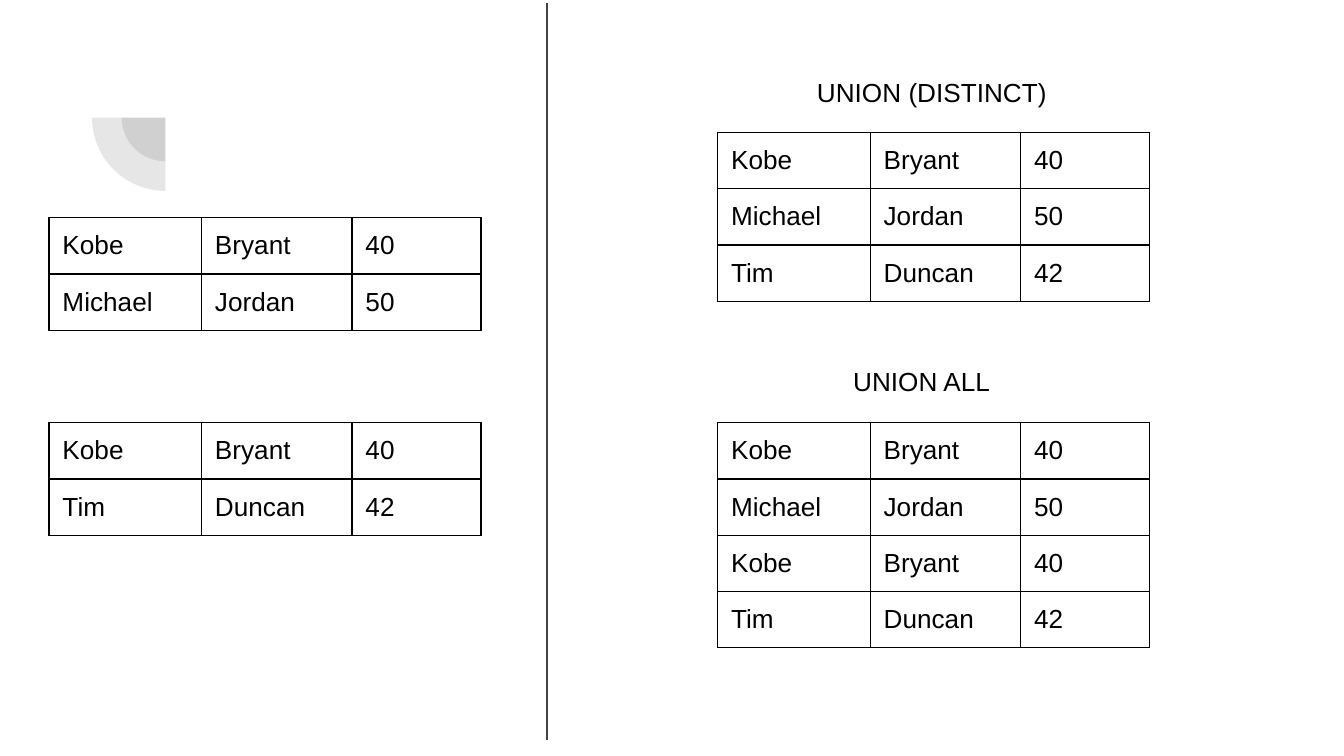
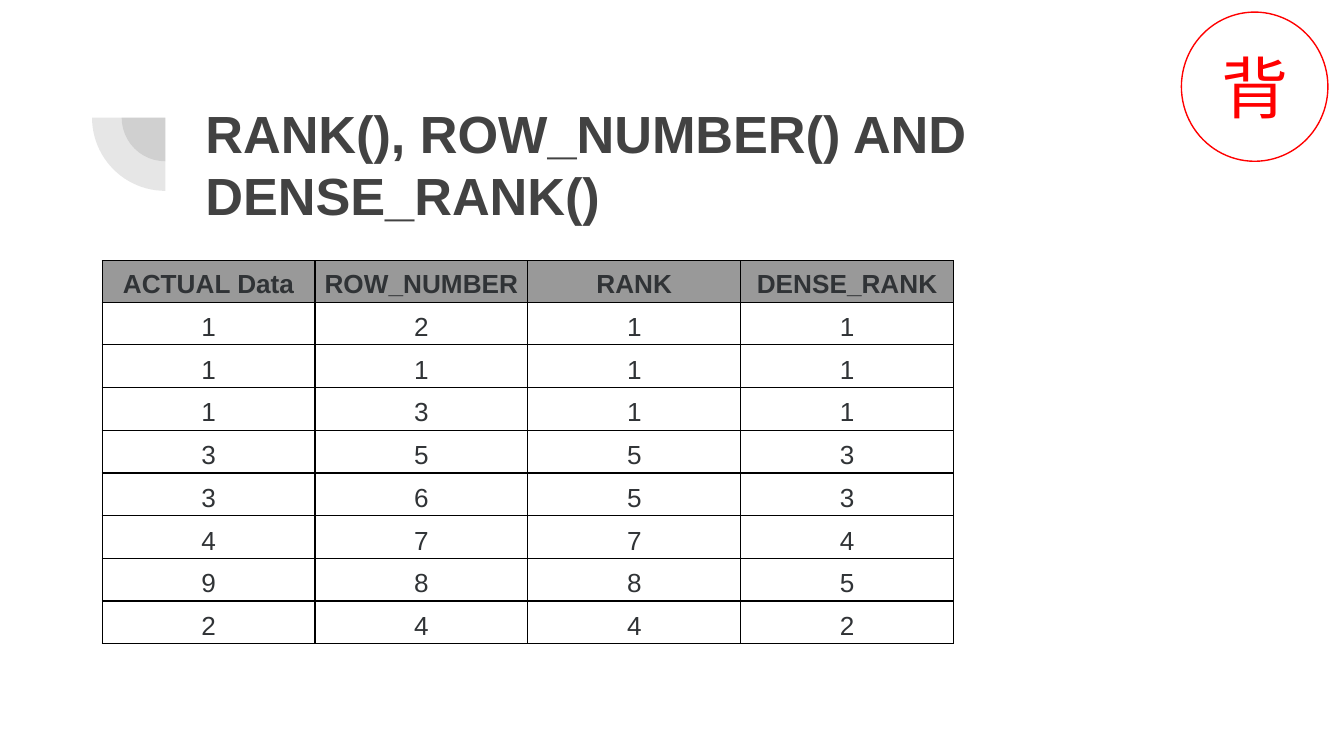
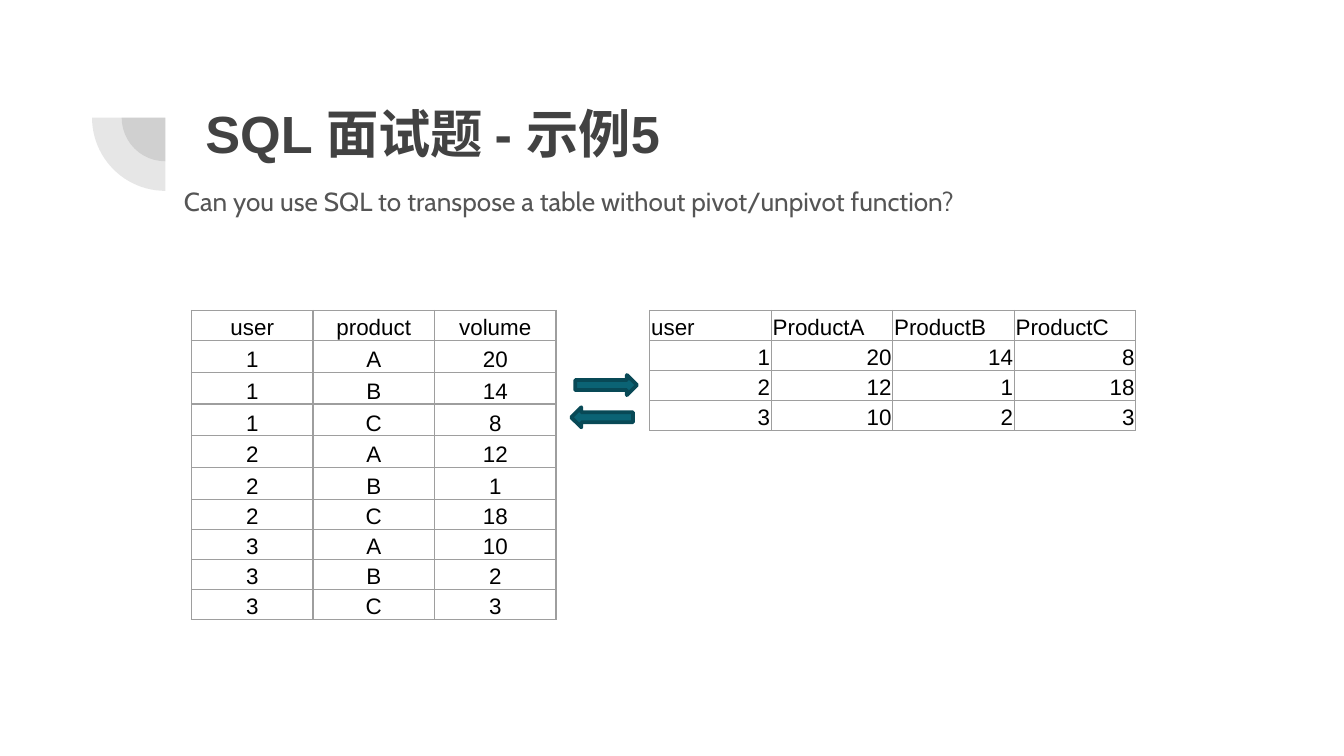
from dataclasses import dataclass
from typing import Optional

from lxml.etree import SubElement
from pptx import Presentation
from pptx.dml.color import RGBColor
from pptx.enum.shapes import MSO_CONNECTOR, MSO_SHAPE
from pptx.enum.text import MSO_ANCHOR, PP_ALIGN
from pptx.oxml.ns import qn
from pptx.util import Emu, Inches, Pt

W = Inches(10)
H = Emu(W * 9 // 16)
COL = W / 100
ROW = H / 56.25

COLORS = {
    "dark": "424242",
    "black": "000000",
    "cell": "303336",
    "header": "999999",
    "border": "9E9E9E",
    "red": "FF0000",
    "subtitle": "555555",
    "arrow": "0B6374",
    "arrow_line": "084956",
}


@dataclass(frozen=True)
class Box:
    left: float
    top: float
    width: float
    height: float

    def emu(self) -> tuple[Emu, Emu, Emu, Emu]:
        return cols(self.left), rows(self.top), cols(self.width), rows(self.height)


@dataclass(frozen=True)
class TableStyle:
    size: int
    color: str
    border: str
    margins: tuple[float, float, float, float]
    anchor: MSO_ANCHOR = MSO_ANCHOR.BOTTOM
    header_align: PP_ALIGN = PP_ALIGN.CENTER
    body_align: PP_ALIGN = PP_ALIGN.CENTER
    spacing: Optional[float] = None
    header_fill: Optional[str] = None


@dataclass(frozen=True)
class Grid:
    left: float
    top: float
    widths: list[float]
    heights: list[float]
    data: list[tuple]
    style: TableStyle


PEOPLE = TableStyle(14, "black", "black", (1, 1, 1, 1), MSO_ANCHOR.TOP,
                    PP_ALIGN.LEFT, PP_ALIGN.LEFT)
RANKING = TableStyle(14, "cell", "black", (0.3, 0.2, 0.3, 0.2),
                     spacing=1.15, header_fill="header")
LONG = TableStyle(12, "black", "border", (0.1, 0.1, 0.1, 0))
WIDE = TableStyle(12, "black", "border", (0.1, 0.1, 0.1, 0),
                  header_align=PP_ALIGN.LEFT, body_align=PP_ALIGN.RIGHT)

KOBE = ("Kobe", "Bryant", 40)
MICHAEL = ("Michael", "Jordan", 50)
TIM = ("Tim", "Duncan", 42)

RANK_ROWS = [
    ("ACTUAL Data", "ROW_NUMBER", "RANK", "DENSE_RANK"),
    (1, 2, 1, 1),
    (1, 1, 1, 1),
    (1, 3, 1, 1),
    (3, 5, 5, 3),
    (3, 6, 5, 3),
    (4, 7, 7, 4),
    (9, 8, 8, 5),
    (2, 4, 4, 2),
]

VOLUMES = {1: (20, 14, 8), 2: (12, 1, 18), 3: (10, 2, 3)}


def cols(n: float) -> Emu:
    return Emu(round(n * COL))


def rows(n: float) -> Emu:
    return Emu(round(n * ROW))


def rgb(name: str) -> RGBColor:
    return RGBColor.from_string(COLORS[name])


def put_text(tf, text, *, size=14, color="black", font="Arial", bold=False,
             align=PP_ALIGN.LEFT, spacing=None) -> None:
    tf.word_wrap = True
    p = tf.paragraphs[0]
    p.alignment = align
    if spacing:
        p.line_spacing = spacing
    r = p.add_run()
    r.text = str(text)
    r.font.size = Pt(size)
    r.font.name = font
    r.font.bold = bold
    r.font.color.rgb = rgb(color)


def set_margins(item, margins: tuple) -> None:
    left, top, right, bottom = margins
    item.margin_left, item.margin_right = cols(left), cols(right)
    item.margin_top, item.margin_bottom = rows(top), rows(bottom)


def add_text(s, box: Box, text: str, margin_y: float = 1, **fmt) -> None:
    tf = s.shapes.add_textbox(*box.emu()).text_frame
    set_margins(tf, (1, margin_y, 1, margin_y))
    put_text(tf, text, **fmt)


def add_title(s, text: str) -> None:
    add_text(s, Box(14.3, 6.5, 76.9, 10.9), text, size=28, color="dark", bold=True)


def add_preset(s, kind: MSO_SHAPE, box: Box, fill: Optional[str] = None,
               line: Optional[str] = None, weight: float = 0.75,
               rotation: float = 0):
    sp = s.shapes.add_shape(kind, *box.emu())
    sp.shadow.inherit = False
    sp.rotation = rotation
    if fill:
        sp.fill.solid()
        sp.fill.fore_color.rgb = rgb(fill)
    else:
        sp.fill.background()
    if line:
        sp.line.color.rgb = rgb(line)
        sp.line.width = Pt(weight)
    else:
        sp.line.fill.background()
    return sp


def add_corner_mark(s) -> None:
    center_x, center_y = 12.3, 8.75
    for size in (6.5, 10.9):
        box = Box(center_x - size / 2, center_y - size / 2, size, size)
        sp = add_preset(s, MSO_SHAPE.PIE, box, "dark", rotation=270)
        sp.adjustments[0], sp.adjustments[1] = 108, 162
        clr = sp.fill._xPr.find(qn("a:solidFill"))[0]
        SubElement(clr, qn("a:alpha"), val="13000")


def add_borders(cell, color: str) -> None:
    tc_pr = cell._tc.get_or_add_tcPr()
    for side in ("lnL", "lnR", "lnT", "lnB"):
        ln = SubElement(tc_pr, qn(f"a:{side}"), w=str(Pt(0.75)))
        fill = SubElement(ln, qn("a:solidFill"))
        SubElement(fill, qn("a:srgbClr"), val=COLORS[color])


def add_grid(s, grid: Grid) -> None:
    style = grid.style
    box = Box(grid.left, grid.top, sum(grid.widths), sum(grid.heights))
    table = s.shapes.add_table(len(grid.heights), len(grid.widths), *box.emu()).table
    table.first_row = table.horz_banding = False
    for column, width in zip(table.columns, grid.widths):
        column.width = cols(width)
    for i, (row, height, values) in enumerate(zip(table.rows, grid.heights, grid.data)):
        row.height = rows(height)
        for cell, value in zip(row.cells, values):
            filled = i == 0 and style.header_fill
            add_borders(cell, style.border)
            if filled:
                cell.fill.solid()
                cell.fill.fore_color.rgb = rgb(style.header_fill)
            else:
                cell.fill.background()
            set_margins(cell, style.margins)
            cell.vertical_anchor = style.anchor
            put_text(cell.text_frame, value, size=style.size, color=style.color,
                     bold=bool(filled), spacing=style.spacing,
                     align=style.body_align if i else style.header_align)


def add_divider(s, x: float, top: float, bottom: float) -> None:
    cx = s.shapes.add_connector(MSO_CONNECTOR.STRAIGHT, cols(x), rows(top),
                                cols(x), rows(bottom))
    cx.line.color.rgb = rgb("dark")
    cx.line.width = Pt(0.75)
    SubElement(cx._element.spPr, qn("a:effectLst"))


def new_slide(prs):
    s = prs.slides.add_slide(prs.slide_layouts[6])
    add_corner_mark(s)
    return s


def build_union(prs) -> None:
    s = new_slide(prs)
    left, right, lower = 3.65, 53.4, 31.45
    for x, y, people in (
        (left, 16.2, [KOBE, MICHAEL]),
        (left, lower, [KOBE, TIM]),
        (right, 9.85, [KOBE, MICHAEL, TIM]),
        (right, lower, [KOBE, MICHAEL, KOBE, TIM]),
    ):
        add_grid(s, Grid(x, y, [11.35, 11.2, 9.6], [4.18] * len(people), people, PEOPLE))
    add_divider(s, 40.7, 0.2, 55.1)
    add_text(s, Box(59.8, 4.7, 21.1, 3.9), "UNION (DISTINCT)")
    add_text(s, Box(62.5, 26.2, 14, 3.9), "UNION ALL")


def build_rank(prs) -> None:
    s = new_slide(prs)
    add_title(s, "RANK(), ROW_NUMBER() AND DENSE_RANK()")
    add_grid(s, Grid(7.6, 19.4, [15.84] * 4, [2.9] + [3.18] * 8, RANK_ROWS, RANKING))
    badge = add_preset(s, MSO_SHAPE.OVAL, Box(87.9, 0.9, 10.9, 11.1), line="red")
    set_margins(badge.text_frame, (1, 1, 1, 1))
    badge.text_frame.vertical_anchor = MSO_ANCHOR.MIDDLE
    put_text(badge.text_frame, "背", size=36, color="red", align=PP_ALIGN.CENTER)


def build_transpose(prs) -> None:
    s = new_slide(prs)
    add_title(s, "SQL 面试题 - 示例5")
    long_rows = [("user", "product", "volume")]
    long_rows += [(user, product, volume) for user, volumes in VOLUMES.items()
                  for product, volume in zip("ABC", volumes)]
    wide_rows = [("user", "ProductA", "ProductB", "ProductC")]
    wide_rows += [(user, *volumes) for user, volumes in VOLUMES.items()]
    top, width, height, tall = 23.1, 9.04, 2.23, 2.37
    heights = [height] + [tall] * 5 + [height] * 4
    add_grid(s, Grid(14.25, top, [width] * 3, heights, long_rows, LONG))
    add_text(s, Box(12.7, 13.3, 78.4, 3.4), margin_y=0.5, color="subtitle", font="Cabin",
             text="Can you use SQL to transpose a table without pivot/unpivot function?")
    add_grid(s, Grid(48.35, top, [width] * 4, [height] * 4, wide_rows, WIDE))
    for x, y, rotation in ((42.8, 27.9, 0), (42.5, 30.3, 180)):
        add_preset(s, MSO_SHAPE.RIGHT_ARROW, Box(x, y, 4.6, 1.5), "arrow",
                   "arrow_line", 2, rotation)


def main() -> None:
    prs = Presentation()
    prs.slide_width, prs.slide_height = W, H
    for build in (build_union, build_rank, build_transpose):
        build(prs)
    prs.save("out.pptx")


if __name__ == "__main__":
    main()
